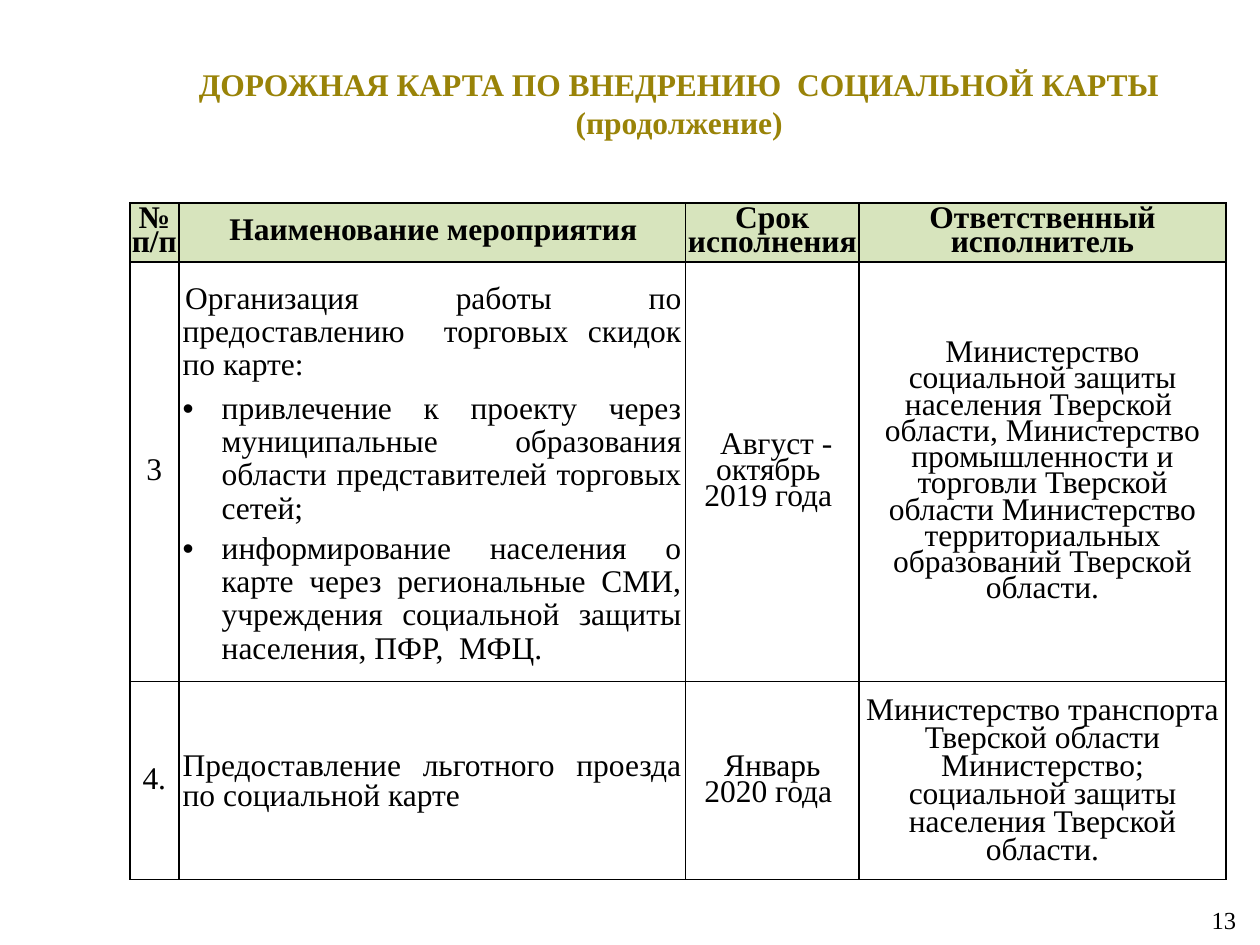
from lxml import etree
from pptx import Presentation
from pptx.dml.color import RGBColor
from pptx.enum.text import MSO_ANCHOR as ANCHOR, PP_ALIGN as ALIGN
from pptx.oxml.ns import qn
from pptx.util import Inches, Pt

COLORS = {"title": "998308", "text": "000000", "header": "D7E4BD", "border": "000000"}


def format_paragraph(p, align, size=18, bold=False, color="text"):
    p.alignment = align
    for r in p.runs:
        r.font.name = "Times New Roman"
        r.font.size = Pt(size)
        r.font.bold = bold
        r.font.color.rgb = RGBColor.from_string(COLORS[color])


def set_indent(p, left, first, bullet=False):
    pPr = p._p.get_or_add_pPr()
    pPr.set("marL", str(Inches(left)))
    pPr.set("indent", str(Inches(first)))
    if bullet:
        etree.SubElement(pPr, qn("a:buFont"), typeface="Arial")
        etree.SubElement(pPr, qn("a:buChar"), char="•")


prs = Presentation()
prs.slide_width, prs.slide_height = Inches(10), Inches(7.5)
s = prs.slides.add_slide(prs.slide_layouts[6])

title = s.shapes.add_textbox(Inches(0.88), Inches(0.48), Inches(9.02), Inches(0.68))
tf = title.text_frame
tf.word_wrap = True
tf.margin_left = tf.margin_right = Inches(0.07)
tf.margin_top = tf.margin_bottom = Inches(0.04)
p = tf.paragraphs[0]
p.text = "ДОРОЖНАЯ КАРТА ПО ВНЕДРЕНИЮ  СОЦИАЛЬНОЙ КАРТЫ\v(продолжение)"
format_paragraph(p, ALIGN.CENTER, bold=True, color="title")

number = s.shapes.add_textbox(Inches(7.58), Inches(7.1), Inches(2.33), Inches(0.4))
tf = number.text_frame
tf.word_wrap = True
tf.vertical_anchor = ANCHOR.MIDDLE
p = tf.paragraphs[0]
p.text = "13"
format_paragraph(p, ALIGN.RIGHT, size=14)

rows = [
    ["№ п/п", "Наименование мероприятия", "Срок исполнения", "Ответственный исполнитель"],
    [
        "3",
        "Организация работы по предоставлению  торговых скидок по карте:\n"
        "привлечение к проекту через муниципальные образования области "
        "представителей торговых сетей; \n"
        "информирование населения о карте через региональные СМИ, учреждения "
        "социальной защиты населения, ПФР,  МФЦ.",
        " Август - октябрь \v2019 года ",
        "Министерство социальной защиты населения Тверской  области, Министерство "
        "промышленности и торговли Тверской области Министерство территориальных "
        "образований Тверской области.",
    ],
    [
        "4.",
        "Предоставление льготного проезда по социальной карте",
        "Январь 2020 года ",
        "Министерство транспорта Тверской области\n"
        "Министерство; социальной защиты населения Тверской области.",
    ],
]
line_spacing = [[14, 14, 14, 14], [15, 19, 15, 15], [15, 17, 15, 16]]
col_widths = [0.39, 4.02, 1.38, 2.91]
row_heights = [0.47, 3.33, 1.57]

frame = s.shapes.add_table(
    len(rows), len(col_widths), Inches(1.03), Inches(1.61),
    Inches(sum(col_widths)), Inches(sum(row_heights)),
)
table = frame.table
table.first_row = table.horz_banding = False
for column, width in zip(table.columns, col_widths):
    column.width = Inches(width)
for row, height in zip(table.rows, row_heights):
    row.height = Inches(height)

for i, texts in enumerate(rows):
    for j, text in enumerate(texts):
        header = i == 0
        cell = table.cell(i, j)
        cell.vertical_anchor = ANCHOR.MIDDLE
        cell.margin_left = cell.margin_right = Inches(0 if header else 0.03)
        cell.margin_top, cell.margin_bottom = Inches(0.04), 0
        tcPr = cell._tc.get_or_add_tcPr()
        for side in ("a:lnL", "a:lnR", "a:lnT", "a:lnB"):
            ln = etree.SubElement(tcPr, qn(side), w=str(Pt(1)))
            line_fill = etree.SubElement(ln, qn("a:solidFill"))
            etree.SubElement(line_fill, qn("a:srgbClr"), val=COLORS["border"])
        if header:
            cell.fill.solid()
            cell.fill.fore_color.rgb = RGBColor.from_string(COLORS["header"])
        else:
            cell.fill.background()

        cell.text_frame.text = text
        align = ALIGN.JUSTIFY if j == 1 and not header else ALIGN.CENTER
        for p in cell.text_frame.paragraphs:
            format_paragraph(p, align, bold=header)
            p.line_spacing = Pt(line_spacing[i][j])

set_indent(table.cell(0, 1).text_frame.paragraphs[0], 0, 0.02)
intro, *items = table.cell(1, 1).text_frame.paragraphs
set_indent(intro, 0, 0.02)
for item in items:
    set_indent(item, 0.31, -0.31, bullet=True)
intro.space_after = Pt(6)
items[0].space_after = Pt(4)

prs.save("out.pptx")
